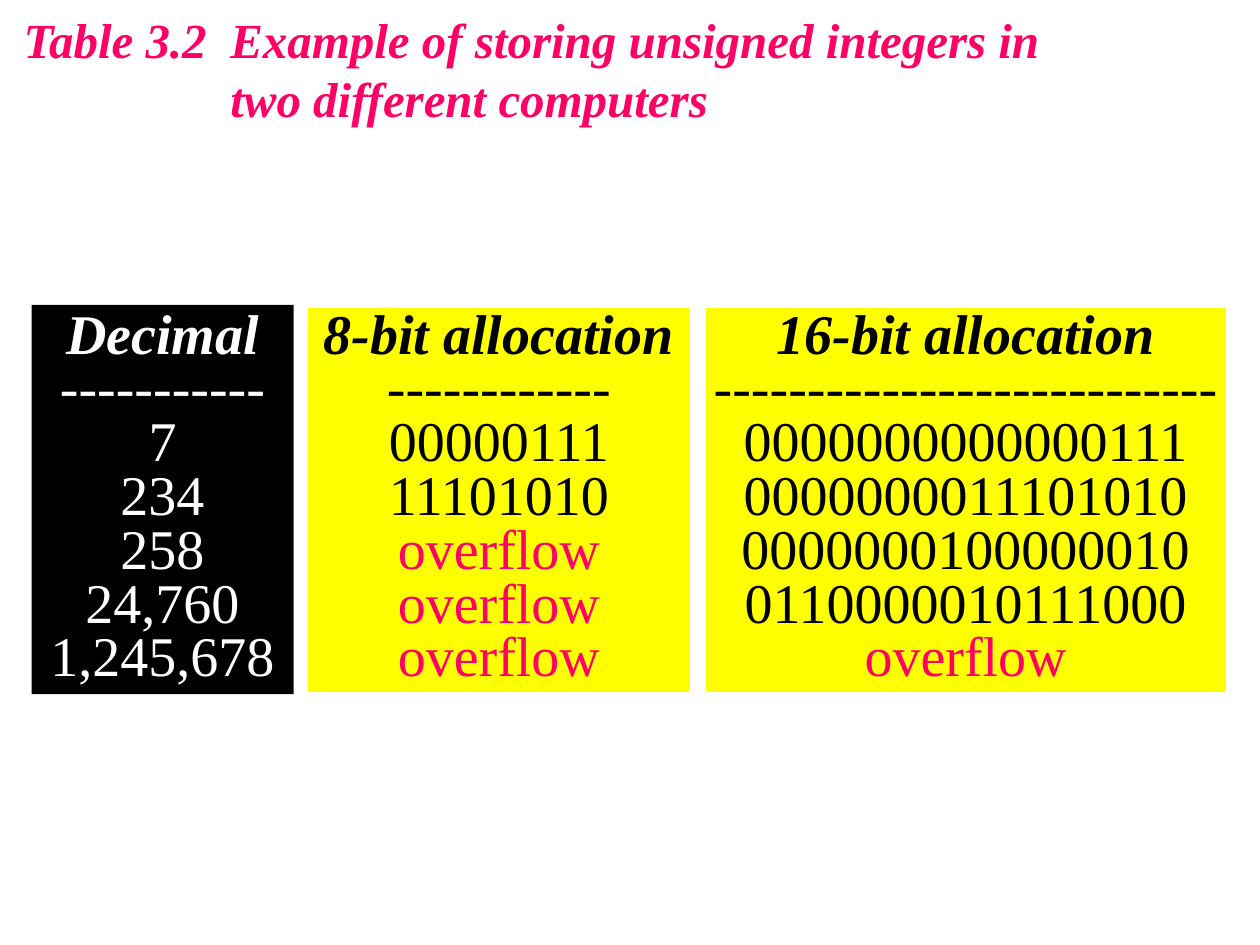
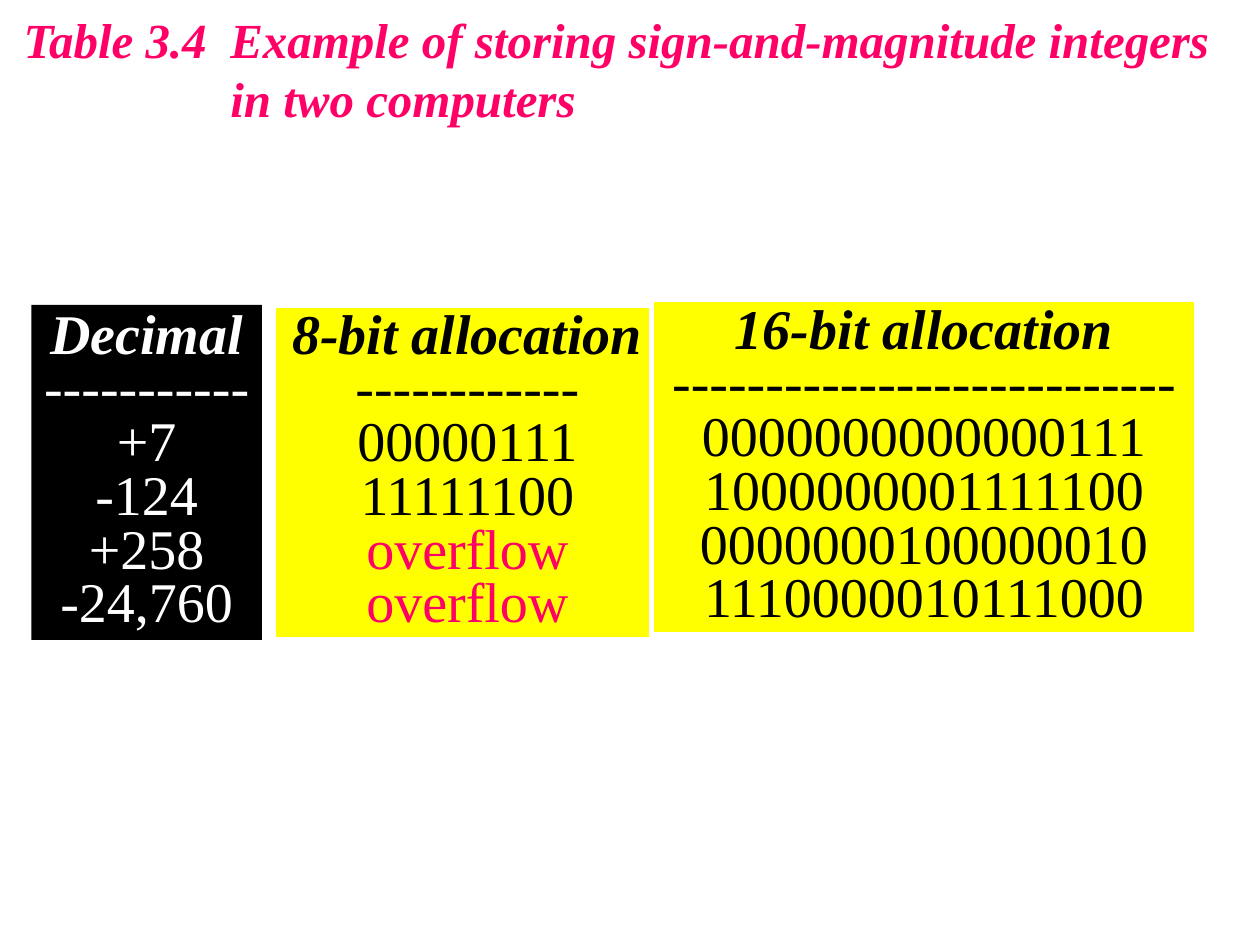
from dataclasses import dataclass

from lxml import etree
from pptx import Presentation
from pptx.dml.color import RGBColor
from pptx.enum.shapes import MSO_SHAPE as Shape
from pptx.enum.text import MSO_ANCHOR as Anchor, PP_ALIGN as Align
from pptx.oxml.ns import qn
from pptx.util import Inches, Pt


@dataclass(frozen=True)
class Theme:
    font: str = "Times New Roman"
    accent: str = "FF0066"
    black: str = "000000"
    white: str = "FFFFFF"
    yellow: str = "FFFF00"
    title_size: int = 28
    cell_size: int = 32
    border: int = 3
    row_spacing: float = 0.8


@dataclass(frozen=True)
class Column:
    heading: str
    dashes: int
    values: tuple[str, ...]
    left: float
    width: float
    top: float = 2.42
    dark: bool = False
    side_inset: float = 0.1


@dataclass(frozen=True)
class TableSlide:
    number: str
    title: tuple[str, str]
    columns: tuple[Column, ...]


THEME = Theme()
TITLE_TAB = 1.64
ROW_HEIGHT = 0.43
COLUMN_PADDING = 0.08

SLIDES = (
    TableSlide(
        "Table 3.2",
        ("Example of storing unsigned integers in", "two different computers"),
        (
            Column("Decimal", 11, ("7", "234", "258", "24,760", "1,245,678"),
                   0.25, 2.08, dark=True),
            Column("8-bit allocation", 12,
                   ("00000111", "11101010", "overflow", "overflow", "overflow"),
                   2.42, 3.08),
            Column("16-bit allocation", 27,
                   ("0000000000000111", "0000000011101010", "0000000100000010",
                    "0110000010111000", "overflow"),
                   5.58, 4.17, side_inset=0.02),
        ),
    ),
    TableSlide(
        "Table 3.4",
        ("Example of storing sign-and-magnitude integers", "in two computers"),
        (
            Column("Decimal", 11, ("+7", "-124", "+258", "-24,760"),
                   0.25, 1.83, dark=True),
            Column("8-bit allocation", 12,
                   ("00000111", "11111100", "overflow", "overflow"),
                   2.17, 3.08),
            Column("16-bit allocation", 27,
                   ("0000000000000111", "1000000001111100", "0000000100000010",
                    "1110000010111000"),
                   5.17, 4.33, top=2.38),
        ),
    ),
)


def set_all(target, values: dict) -> None:
    for name, value in values.items():
        setattr(target, name, value)


def add_text(p, text: str, size: int, color: str, strong: bool) -> None:
    r = p.add_run()
    r.text = text
    set_all(r.font, {"name": THEME.font, "size": Pt(size),
                     "bold": strong, "italic": strong})
    r.font.color.rgb = RGBColor.from_string(color)


def set_frame(tf, side_inset: float = 0.1) -> None:
    set_all(tf, {"word_wrap": True, "vertical_anchor": Anchor.TOP,
                 "margin_left": Inches(side_inset), "margin_right": Inches(side_inset),
                 "margin_top": Inches(0.05), "margin_bottom": Inches(0.05)})


def paragraph(tf, index: int):
    return tf.add_paragraph() if index else tf.paragraphs[0]


def add_title(s, number: str, lines: tuple[str, str]) -> None:
    tf = s.shapes.add_textbox(Inches(0.09), Inches(0.03),
                              Inches(9.8), Inches(1.04)).text_frame
    set_frame(tf)
    # Both lines start at one tab stop, after the table number
    for i, (label, line) in enumerate(zip((number, ""), lines)):
        p = paragraph(tf, i)
        tabs = etree.SubElement(p._p.get_or_add_pPr(), qn("a:tabLst"))
        etree.SubElement(tabs, qn("a:tab"), pos=str(Inches(TITLE_TAB)), algn="l")
        add_text(p, f"{label}\t{line}", THEME.title_size, THEME.accent, True)


def add_column(s, column: Column) -> None:
    rows = (column.heading, "-" * column.dashes, *column.values)
    height = COLUMN_PADDING + ROW_HEIGHT * len(rows)
    sp = s.shapes.add_shape(Shape.RECTANGLE, Inches(column.left), Inches(column.top),
                            Inches(column.width), Inches(height))
    sp.shadow.inherit = False
    sp.fill.solid()
    sp.fill.fore_color.rgb = RGBColor.from_string(
        THEME.black if column.dark else THEME.yellow)
    if column.dark:
        sp.line.fill.background()
    else:
        sp.line.color.rgb = RGBColor.from_string(THEME.white)
        sp.line.width = Pt(THEME.border)

    tf = sp.text_frame
    set_frame(tf, column.side_inset)
    ink = THEME.white if column.dark else THEME.black
    for i, text in enumerate(rows):
        p = paragraph(tf, i)
        set_all(p, {"alignment": Align.CENTER, "line_spacing": THEME.row_spacing})
        color = THEME.accent if text == "overflow" else ink
        add_text(p, text, THEME.cell_size, color, strong=i == 0)


def main() -> None:
    prs = Presentation()
    set_all(prs, {"slide_width": Inches(10), "slide_height": Inches(7.5)})
    for table in SLIDES:
        s = prs.slides.add_slide(prs.slide_layouts[6])
        add_title(s, table.number, table.title)
        for column in table.columns:
            add_column(s, column)
    prs.save("out.pptx")


if __name__ == "__main__":
    main()
